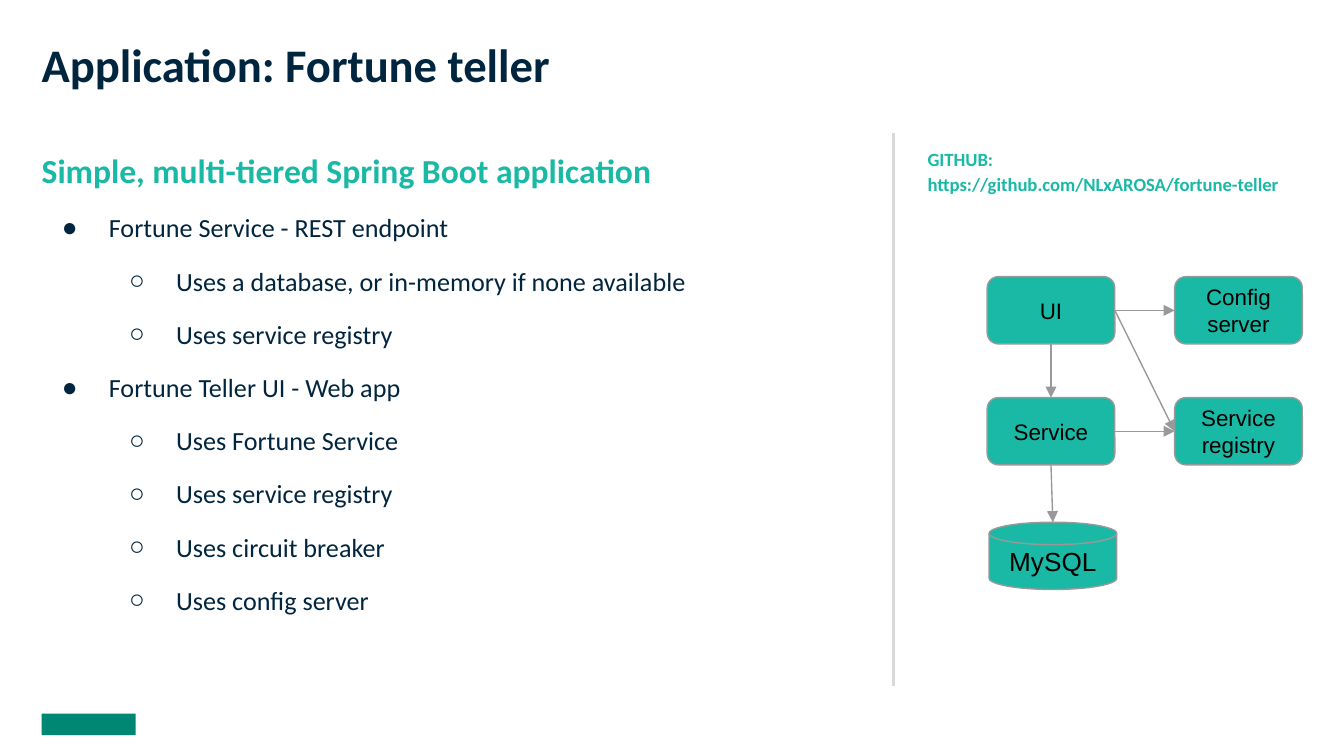
from dataclasses import dataclass

from lxml.etree import SubElement
from pptx import Presentation
from pptx.dml.color import RGBColor
from pptx.enum.shapes import MSO_CONNECTOR, MSO_SHAPE
from pptx.enum.text import MSO_ANCHOR, PP_ALIGN
from pptx.oxml.ns import qn
from pptx.slide import Slide
from pptx.util import Inches, Length, Pt

NAVY = RGBColor(0x00, 0x25, 0x3E)
TEAL = RGBColor(0x1A, 0xB9, 0xA5)
GREEN = RGBColor(0x00, 0x87, 0x74)
BLACK = RGBColor(0x00, 0x00, 0x00)
GREY = RGBColor(0x99, 0x99, 0x99)
LIGHT_GREY = RGBColor(0xD9, 0xD9, 0xD9)

# Widescreen, 16 to 9
WIDTH = Inches(10)
HEIGHT = Length(WIDTH * 9 // 16)

# Diagram grid, in percent of the slide's width and height
GRID_LEFT, GRID_TOP = 73.45, 36.6
COLUMN_STEP, ROW_STEP = 13.95, 16
NODE_WIDTH, NODE_HEIGHT = 9.5, 8.9

FORMATS = {
    "title": dict(name="Calibri", size=Pt(25), bold=True),
    "heading": dict(name="Calibri", size=Pt(18), bold=True),
    "item": dict(name="Calibri", size=Pt(14), bold=False),
    "link": dict(name="Calibri", size=Pt(10), bold=True),
    "node": dict(name="Arial", size=Pt(12)),
    "store": dict(name="Arial", size=Pt(14)),
}


def across(percent: float) -> Length:
    return Length(round(WIDTH * percent / 100))


def down(percent: float) -> Length:
    return Length(round(HEIGHT * percent / 100))


@dataclass(frozen=True)
class Frame:
    """A rectangle in percent of the slide's size."""
    left: float
    top: float
    width: float
    height: float

    def lengths(self) -> tuple:
        return across(self.left), down(self.top), across(self.width), down(self.height)


@dataclass(frozen=True)
class Node:
    """A diagram part at a column and row of the grid."""
    column: float
    row: float
    lines: tuple
    style: str = "node"
    preset: MSO_SHAPE = MSO_SHAPE.ROUNDED_RECTANGLE

    def frame(self) -> Frame:
        return Frame(GRID_LEFT + self.column * COLUMN_STEP,
                     GRID_TOP + self.row * ROW_STEP, NODE_WIDTH, NODE_HEIGHT)

    def point(self, x_share: float, y_share: float) -> tuple:
        frame = self.frame()
        return frame.left + frame.width * x_share, frame.top + frame.height * y_share


@dataclass(frozen=True)
class Line:
    text: str
    style: str
    color: RGBColor
    level: int = 0  # 0 has no bullet
    after: int = 0


def add_span(para, text: str, style: str, color: RGBColor) -> None:
    span = para.add_run()
    span.text = text
    for name, value in FORMATS[style].items():
        setattr(span.font, name, value)
    span.font.color.rgb = color


def set_insets(frame) -> None:
    frame.word_wrap = True
    for side in ("left", "right", "top", "bottom"):
        setattr(frame, f"margin_{side}", Inches(0.1))


def add_bullet(para, level: int) -> None:
    para.level = level - 1
    properties = para._p.get_or_add_pPr()
    properties.set("marL", str(Inches(0.5 * level)))
    properties.set("indent", str(Inches(-0.35)))
    color = SubElement(properties, qn("a:buClr"))
    SubElement(color, qn("a:srgbClr"), val=str(NAVY))
    SubElement(properties, qn("a:buFont"), typeface="Arial")
    SubElement(properties, qn("a:buChar"), char="●○"[level - 1])


def add_text(page: Slide, frame: Frame, lines: list, spacing: float = 1.1) -> None:
    box = page.shapes.add_textbox(*frame.lengths())
    set_insets(box.text_frame)
    for index, line in enumerate(lines):
        para = box.text_frame.add_paragraph() if index else box.text_frame.paragraphs[0]
        if line.level:
            add_bullet(para, line.level)
        layout = dict(line_spacing=spacing, space_before=Pt(10 if index else 0),
                      space_after=Pt(line.after))
        for name, value in layout.items():
            setattr(para, name, value)
        add_span(para, line.text, line.style, line.color)


def add_node(page: Slide, node: Node) -> None:
    shape = page.shapes.add_shape(node.preset, *node.frame().lengths())
    shape.shadow.inherit = False
    shape.fill.solid()
    shape.fill.fore_color.rgb = TEAL
    shape.line.color.rgb = GREY
    shape.line.width = Pt(0.75)
    frame = shape.text_frame
    set_insets(frame)
    frame.vertical_anchor = MSO_ANCHOR.MIDDLE
    for index, text in enumerate(node.lines):
        para = frame.add_paragraph() if index else frame.paragraphs[0]
        para.alignment = PP_ALIGN.CENTER
        add_span(para, text, node.style, BLACK)


def add_line(page: Slide, start: tuple, end: tuple, color: RGBColor,
             width: float, arrow: bool = False) -> None:
    line = page.shapes.add_connector(
        MSO_CONNECTOR.STRAIGHT, across(start[0]), down(start[1]), across(end[0]), down(end[1]))
    line.line.color.rgb = color
    line.line.width = Pt(width)
    if arrow:
        SubElement(line.line._get_or_add_ln(), qn("a:tailEnd"), type="triangle")
    SubElement(line._element.spPr, qn("a:effectLst"))


def main() -> None:
    deck = Presentation()
    deck.slide_width, deck.slide_height = WIDTH, HEIGHT
    page = deck.slides.add_slide(deck.slide_layouts[6])

    # Divider and plain footer mark
    add_line(page, (66.5, 90.8), (66.5, 17.6), LIGHT_GREY, 1.5)
    mark = page.shapes.add_shape(MSO_SHAPE.RECTANGLE, *Frame(3.1, 94.4, 7, 2.85).lengths())
    mark.shadow.inherit = False
    mark.fill.solid()
    mark.fill.fore_color.rgb = GREEN
    mark.line.fill.background()

    # Title, bullet list and link
    add_text(page, Frame(2.12, 3, 94.7, 7.65),
             [Line("Application: Fortune teller", "title", NAVY)], spacing=1.0)
    items = [
        (1, "Fortune Service - REST endpoint"),
        (2, "Uses a database, or in-memory if none available"),
        (2, "Uses service registry"),
        (1, "Fortune Teller UI - Web app"),
        (2, "Uses Fortune Service"),
        (2, "Uses service registry"),
        (2, "Uses circuit breaker"),
        (2, "Uses config server"),
    ]
    add_text(page, Frame(2.12, 17.5, 61.4, 73.3),
             [Line("Simple, multi-tiered Spring Boot application", "heading", TEAL)]
             + [Line(text, "item", NAVY, level) for level, text in items])
    add_text(page, Frame(68.04, 17.5, 29.8, 14.4),
             [Line("GITHUB: https://github.com/NLxAROSA/fortune-teller", "link", TEAL, after=20)])

    # Architecture diagram
    ui = Node(0, 0, ("UI",))
    service = Node(0, 1, ("Service",))
    registry = Node(1, 1, ("Service", "registry"))
    config = Node(1, 0, ("Config", "server"))
    database = Node(0.01, 2.03, ("MySQL",), "store", MSO_SHAPE.FLOWCHART_MAGNETIC_DISK)
    for node in (ui, service, registry, config, database):
        add_node(page, node)
    for upper, lower in ((ui, service), (service, database)):
        add_line(page, upper.point(0.5, 1), lower.point(0.5, 0), GREY, 0.75, arrow=True)
    for source, target in ((ui, registry), (service, registry), (ui, config)):
        add_line(page, source.point(1, 0.5), target.point(0, 0.5), GREY, 0.75, arrow=True)

    deck.save("out.pptx")


if __name__ == "__main__":
    main()
